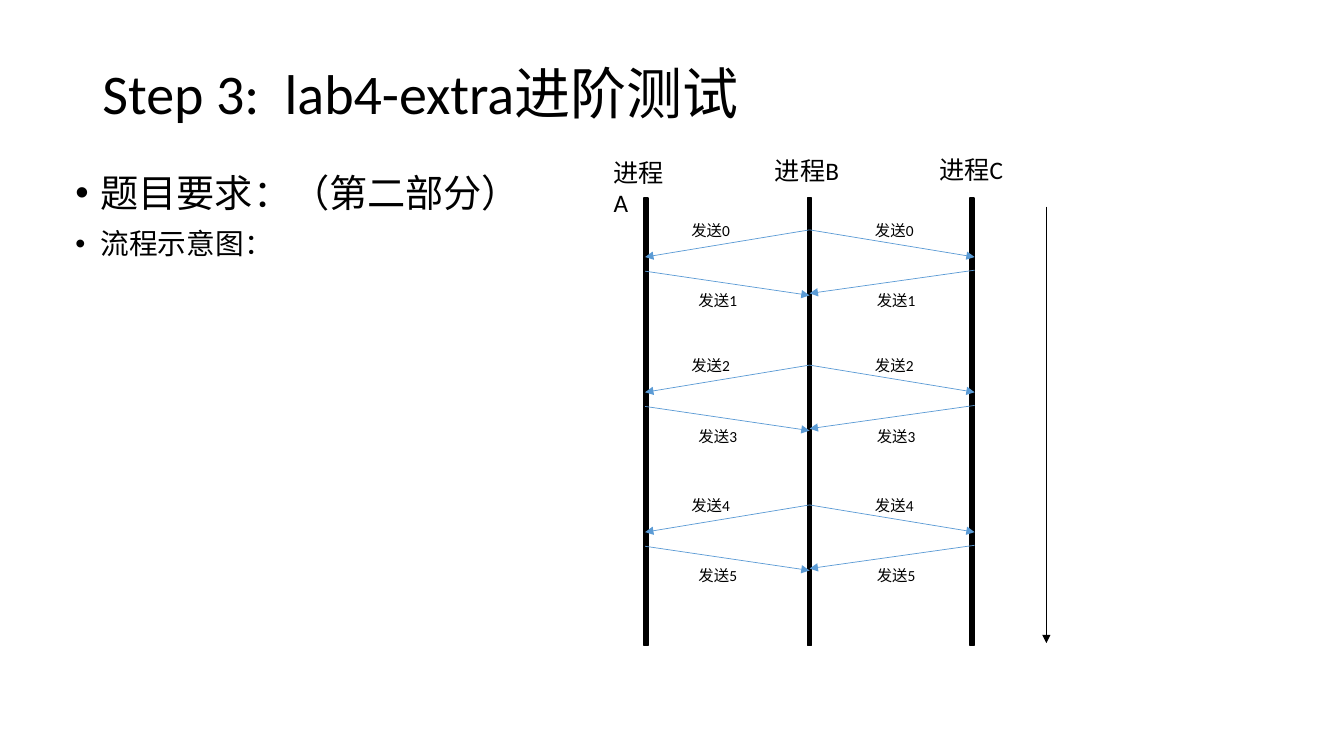
import pptx
import pptx.util
import pptx.dml.color
import pptx.enum.shapes
import pptx.enum.text
import pptx.oxml.ns
import lxml.etree

Pt = pptx.util.Pt
qn = pptx.oxml.ns.qn
COLORS = {"ink": "000000", "arrow": "5B9BD5"}
LATIN, HAN = "Calibri", "Noto Sans CJK SC"
LANES = {"A": 461.5, "B": 578.2, "C": 694.2}
HEADS = {"A": (431.3, 108.7), "B": (546.5, 107.3), "C": (663.8, 106.6)}
ROUNDS = [164.2, 260.8, 360.7]
LEFT, MID, RIGHT = 460.8, 578.3, 696.2


def color(name):
    """Return a named colour."""
    return pptx.dml.color.RGBColor.from_string(COLORS[name])


def style(para, size, face=LATIN):
    """Format the runs of a paragraph."""
    for run in para.runs:
        run.font.size = Pt(size)
        run.font.name = face
        run.font.color.rgb = color("ink")
        east = lxml.etree.SubElement(run.font._element, qn("a:ea"))
        east.set("typeface", HAN)


def label(slide, text, x, y, width, height, size):
    """Add a small wrapped text box."""
    box = slide.shapes.add_textbox(Pt(x), Pt(y), Pt(width), Pt(height))
    box.text_frame.word_wrap = True
    box.text_frame.text = text
    style(box.text_frame.paragraphs[0], size)


def arrow(slide, start, end, name):
    """Add a thin arrow between two points."""
    kind = pptx.enum.shapes.MSO_CONNECTOR.STRAIGHT
    line = slide.shapes.add_connector(kind, *map(Pt, start + end))
    line.line.color.rgb = color(name)
    line.line.width = Pt(0.5)
    tail = lxml.etree.SubElement(line.line._get_or_add_ln(), qn("a:tailEnd"))
    tail.set("type", "triangle")
    lxml.etree.SubElement(line._element.spPr, qn("a:effectLst"))


def lane(slide, x):
    """Add the upright bar of a process."""
    length, thick, mid = 434.9, 12.2, 301.3
    kind = pptx.enum.shapes.MSO_SHAPE.MATH_MINUS
    bar = slide.shapes.add_shape(kind, Pt(x - length / 2), Pt(mid - thick / 2),
                                 Pt(length), Pt(thick))
    bar.rotation = 90
    bar.shadow.inherit = False
    bar.fill.solid()
    bar.fill.fore_color.rgb = color("ink")
    bar.line.color.rgb = color("ink")
    bar.line.width = Pt(1)


def title(slide, text):
    """Fill and place the title."""
    head = slide.shapes.title
    head.left, head.top = Pt(66), Pt(16.5)
    head.width, head.height = Pt(828), Pt(104.4)
    frame = head.text_frame
    frame.text = text
    frame.vertical_anchor = pptx.enum.text.MSO_ANCHOR.MIDDLE
    para = frame.paragraphs[0]
    para.alignment = pptx.enum.text.PP_ALIGN.LEFT
    para.line_spacing = 0.9
    style(para, 40)


def bullets(slide, items):
    """Add the bulleted text from pairs of text and size."""
    box = slide.shapes.add_textbox(Pt(46.8), Pt(121), Pt(875.5), Pt(370.8))
    frame = box.text_frame
    frame.word_wrap = True
    frame.text = "\n".join(text for text, size in items)
    for para, (text, size) in zip(frame.paragraphs, items):
        para.line_spacing = 0.9
        para.space_before = Pt(10)
        props = para._p.get_or_add_pPr()
        props.set("marL", str(Pt(18)))
        props.set("indent", str(Pt(-18)))
        font = lxml.etree.SubElement(props, qn("a:buFont"))
        font.set("typeface", "Arial")
        mark = lxml.etree.SubElement(props, qn("a:buChar"))
        mark.set("char", "•")
        style(para, size, HAN)


def trade(slide, top, count):
    """Draw one round: B sends to both sides, then both reply."""
    for side in (RIGHT, LEFT):
        arrow(slide, (MID, top), (side, top + 19.4), "arrow")
    arrow(slide, (LEFT, top + 29.5), (MID, top + 46.8), "arrow")
    arrow(slide, (RIGHT, top + 28.8), (MID, top + 45.4), "arrow")
    for step, drop, places in ((0, -10, (617.8, 486.7)),
                               (1, 40.4, (619.2, 491.8))):
        for x in places:
            label(slide, f"发送{count + step}", x, top + drop, 42.2, 20.6, 11)


def main():
    """Build and save the slide."""
    deck = pptx.Presentation()
    deck.slide_width, deck.slide_height = Pt(960), Pt(540)
    slide = deck.slides.add_slide(deck.slide_layouts[5])
    bullets(slide, [("题目要求：（第二部分）", 27.3), ("流程示意图：", 20.5)])
    title(slide, "Step 3:  lab4-extra进阶测试")
    for x in LANES.values():
        lane(slide, x)
    for index, top in enumerate(ROUNDS):
        trade(slide, top, 2 * index)
    arrow(slide, (747.4, 147.6), (747.4, 459.4), "ink")
    for name, (x, y) in HEADS.items():
        label(slide, f"进程{name}", x, y, 60.5, 29, 18)
    deck.save("out.pptx")


main()
